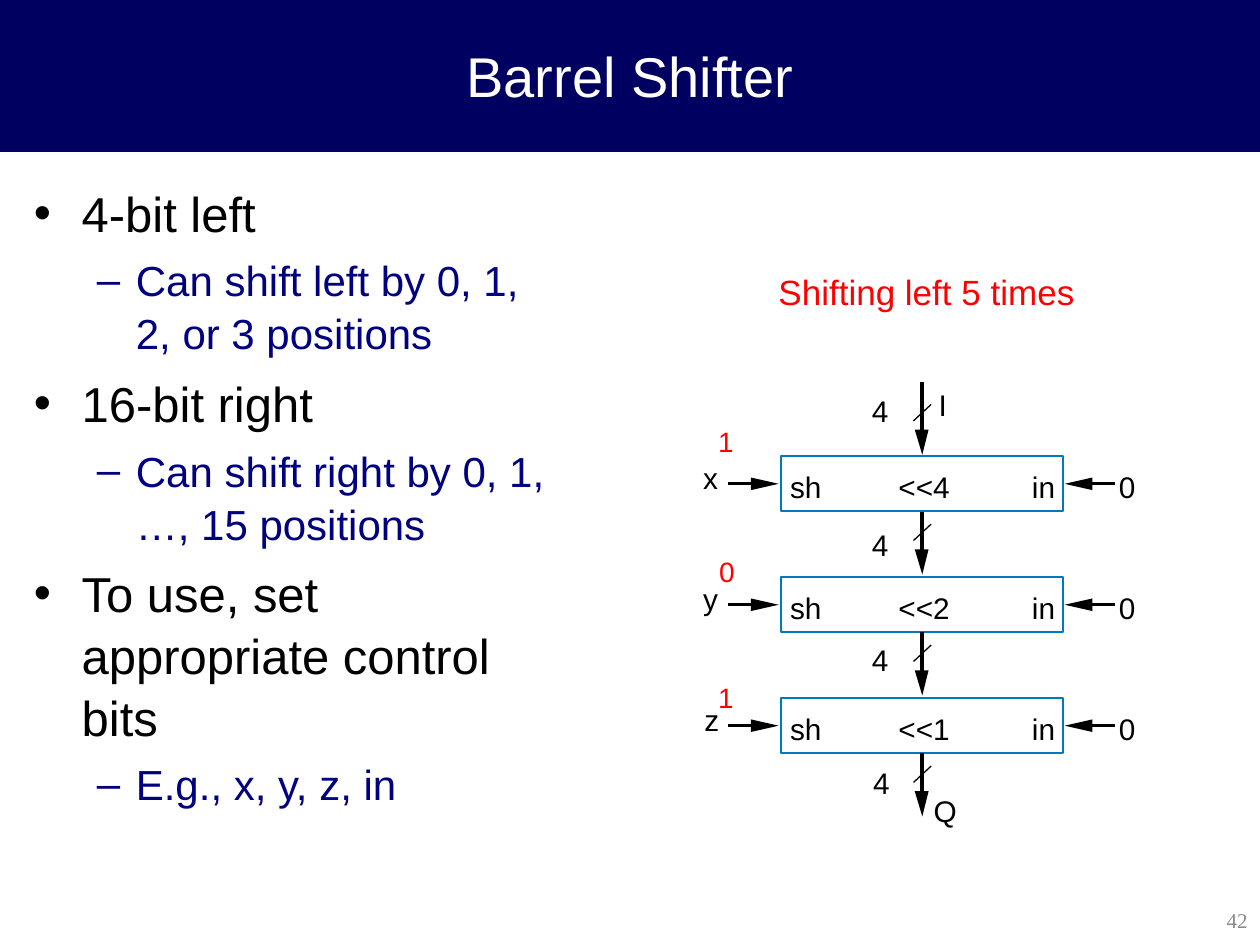
from dataclasses import dataclass

import lxml.etree
import pptx
import pptx.dml.color
import pptx.enum.shapes
import pptx.enum.text
import pptx.oxml.ns
import pptx.util

Inches = pptx.util.Inches
Pt = pptx.util.Pt
qn = pptx.oxml.ns.qn
Align = pptx.enum.text.PP_ALIGN
Anchor = pptx.enum.text.MSO_ANCHOR

COLORS = {
    "band": "000060",
    "white": "FFFFFF",
    "black": "000000",
    "navy": "000080",
    "red": "FF0000",
    "box": "0078C1",
    "gray": "898989",
}

BOX_LEFT, BOX_WIDTH, BOX_HEIGHT = 6.2, 2.24, 0.44
BOX_RIGHT = BOX_LEFT + BOX_WIDTH
FIRST_TOP, STAGE_PITCH = 3.62, 0.96
BUS_X = BOX_LEFT + BOX_WIDTH / 2
LABEL_HEIGHT = 0.28


@dataclass(frozen=True)
class Stage:
    shift: str
    control: str
    control_left: float
    bit: str
    bit_left: float
    bit_top: float
    width_left: float
    width_top: float


@dataclass(frozen=True)
class BulletLevel:
    mark: str
    size: float
    color: str
    margin: float
    hanging: float
    space_before: float


STAGES = [
    Stage("<<4", "x", 5.58, "1", 5.6, 3.32, 6.92, 4.18),
    Stage("<<2", "y", 5.58, "0", 5.61, 4.35, 6.92, 5.09),
    Stage("<<1", "z", 5.59, "1", 5.6, 5.35, 6.93, 6.07),
]

LEVELS = [
    BulletLevel("•", 28, "black", 0.38, 0.38, 7),
    BulletLevel("–", 24, "navy", 0.81, 0.31, 6),
]

BULLETS = [
    (0, "4-bit left"),
    (1, "Can shift left by 0, 1, 2, or 3 positions"),
    (0, "16-bit right"),
    (1, "Can shift right by 0, 1, …, 15 positions"),
    (0, "To use, set appropriate control bits"),
    (1, "E.g., x, y, z, in"),
]


def rgb(name: str):
    return pptx.dml.color.RGBColor.from_string(COLORS[name])


def write(paragraph, text: str, *, size: float, color: str = "black",
          font: str = "Arial", align=Align.LEFT) -> None:
    paragraph.alignment = align
    run = paragraph.add_run()
    run.text = text
    run.font.size = Pt(size)
    run.font.name = font
    run.font.color.rgb = rgb(color)


def add_text(slide, text: str, left: float, top: float, width: float, height: float, *,
             inset: bool = True, grow: bool = True, anchor=Anchor.TOP, **text_format) -> None:
    frame = slide.shapes.add_textbox(
        Inches(left), Inches(top), Inches(width), Inches(height)).text_frame
    frame.word_wrap = inset
    frame.vertical_anchor = anchor
    if grow:
        frame.auto_size = pptx.enum.text.MSO_AUTO_SIZE.SHAPE_TO_FIT_TEXT
    if not inset:
        frame.margin_left = frame.margin_right = 0
        frame.margin_top = frame.margin_bottom = 0
    write(frame.paragraphs[0], text, **text_format)


def add_label(slide, text: str, left: float, top: float, width: float = 0.13) -> None:
    add_text(slide, text, left, top, width, LABEL_HEIGHT, inset=False, size=17)


def add_rectangle(slide, left: float, top: float, width: float, height: float,
                  line: str, line_width: float, fill: str = ""):
    shape = slide.shapes.add_shape(
        pptx.enum.shapes.MSO_SHAPE.RECTANGLE,
        Inches(left), Inches(top), Inches(width), Inches(height))
    shape.shadow.inherit = False
    if fill:
        shape.fill.solid()
        shape.fill.fore_color.rgb = rgb(fill)
    else:
        shape.fill.background()
    shape.line.color.rgb = rgb(line)
    shape.line.width = Pt(line_width)
    return shape


def add_line(slide, x1: float, y1: float, x2: float, y2: float, width: float):
    connector = slide.shapes.add_connector(
        pptx.enum.shapes.MSO_CONNECTOR.STRAIGHT,
        Inches(x1), Inches(y1), Inches(x2), Inches(y2))
    connector.line.color.rgb = rgb("black")
    connector.line.width = Pt(width)
    lxml.etree.SubElement(connector._element.spPr, qn("a:effectLst"))
    return connector


def add_arrowhead(slide, *points: tuple[float, float]) -> None:
    corners = [(Inches(x), Inches(y)) for x, y in points]
    builder = slide.shapes.build_freeform(*corners[0])
    builder.add_line_segments(corners[1:], close=True)
    shape = builder.convert_to_shape()
    shape.shadow.inherit = False
    shape.fill.solid()
    shape.fill.fore_color.rgb = rgb("black")
    shape.line.fill.background()


def add_side_arrow(slide, start: float, tip: float, y: float) -> None:
    """Draw a horizontal arrow whose head is 0.22 long."""
    direction = 1 if tip > start else -1
    add_line(slide, start, y, tip - 0.14 * direction, y, 1.5)
    back = tip - 0.22 * direction
    add_arrowhead(slide, (tip, y), (back, y - 0.05), (back, y + 0.05))


def add_bus(slide, start: float, tip: float, source=None) -> None:
    """Draw a downward bus arrow with its slash, leaving the source box if any."""
    line = add_line(slide, BUS_X, start, BUS_X, tip - 0.12, 2.25)
    if source is not None:
        line.begin_connect(source, 2)
    add_arrowhead(slide, (BUS_X, tip), (BUS_X + 0.05, tip - 0.2), (BUS_X - 0.06, tip - 0.2))
    add_line(slide, BUS_X + 0.07, tip - 0.4, BUS_X - 0.07, tip - 0.27, 0.75)


def add_stage(slide, stage: Stage, top: float) -> None:
    label_top, middle = top + 0.1, top + BOX_HEIGHT / 2
    box = add_rectangle(slide, BOX_LEFT, top, BOX_WIDTH, BOX_HEIGHT, "box", 1.13)
    add_label(slide, "sh", 6.27, label_top, 0.25)
    add_label(slide, stage.shift, 7.13, label_top, 0.41)
    add_label(slide, "in", 8.19, label_top, 0.19)
    add_label(slide, "0", 8.88, label_top)
    add_label(slide, stage.control, stage.control_left, top + 0.03, 0.12)
    add_side_arrow(slide, 5.78, BOX_LEFT - 0.02, middle)
    add_side_arrow(slide, 8.85, BOX_RIGHT + 0.01, middle)
    bottom = top + BOX_HEIGHT
    add_bus(slide, bottom, bottom + 0.5, box)
    add_label(slide, "4", stage.width_left, stage.width_top)
    add_text(slide, stage.bit, stage.bit_left, stage.bit_top, 0.39, 0.37, size=16, color="red")


def add_title(slide) -> None:
    band = add_rectangle(slide, 0, 0, 10, 1.2, "band", 0.75, fill="band")
    slide.shapes._spTree.insert(2, band._element)
    title = slide.shapes.title
    title.left, title.top, title.width, title.height = 0, 0, Inches(10), Inches(1.2)
    title.text_frame.vertical_anchor = Anchor.MIDDLE
    write(title.text_frame.paragraphs[0], "Barrel Shifter",
          size=32, color="white", align=Align.CENTER)


def add_bullet_mark(paragraph, level: BulletLevel) -> None:
    properties = paragraph._p.get_or_add_pPr()
    properties.set("marL", str(Inches(level.margin)))
    properties.set("indent", str(-Inches(level.hanging)))
    color = lxml.etree.SubElement(properties, qn("a:buClr"))
    lxml.etree.SubElement(color, qn("a:srgbClr"), val=COLORS[level.color])
    lxml.etree.SubElement(properties, qn("a:buFont"), typeface="Arial")
    lxml.etree.SubElement(properties, qn("a:buChar"), char=level.mark)


def add_bullets(slide) -> None:
    frame = slide.shapes.add_textbox(
        Inches(0.17), Inches(1.38), Inches(4.32), Inches(5.72)).text_frame
    frame.word_wrap = True
    for index, (depth, text) in enumerate(BULLETS):
        level = LEVELS[depth]
        paragraph = frame.add_paragraph() if index else frame.paragraphs[0]
        paragraph.level = depth
        add_bullet_mark(paragraph, level)
        paragraph.line_spacing = 1.05
        if index:
            paragraph.space_before = Pt(level.space_before)
        write(paragraph, text, size=level.size, color=level.color)


def main() -> None:
    presentation = pptx.Presentation()
    presentation.slide_width, presentation.slide_height = Inches(10), Inches(7.5)
    slide = presentation.slides.add_slide(presentation.slide_layouts[5])
    add_title(slide)
    add_bullets(slide)
    add_text(slide, "42", 7.88, 7.1, 2.12, 0.4, grow=False, anchor=Anchor.MIDDLE,
             size=12, color="gray", font="Times New Roman", align=Align.RIGHT)
    add_bus(slide, 3.03, FIRST_TOP - 0.01)
    add_label(slide, "4", 6.92, 3.12)
    add_label(slide, "I", 7.45, 3.07, 0.07)
    for index, stage in enumerate(STAGES):
        add_stage(slide, stage, FIRST_TOP + index * STAGE_PITCH)
    add_label(slide, "Q", 7.41, 6.29, 0.19)
    add_text(slide, "Shifting left 5 times", 6.08, 2.1, 2.81, 0.44, size=20, color="red")
    presentation.save("out.pptx")


if __name__ == "__main__":
    main()
